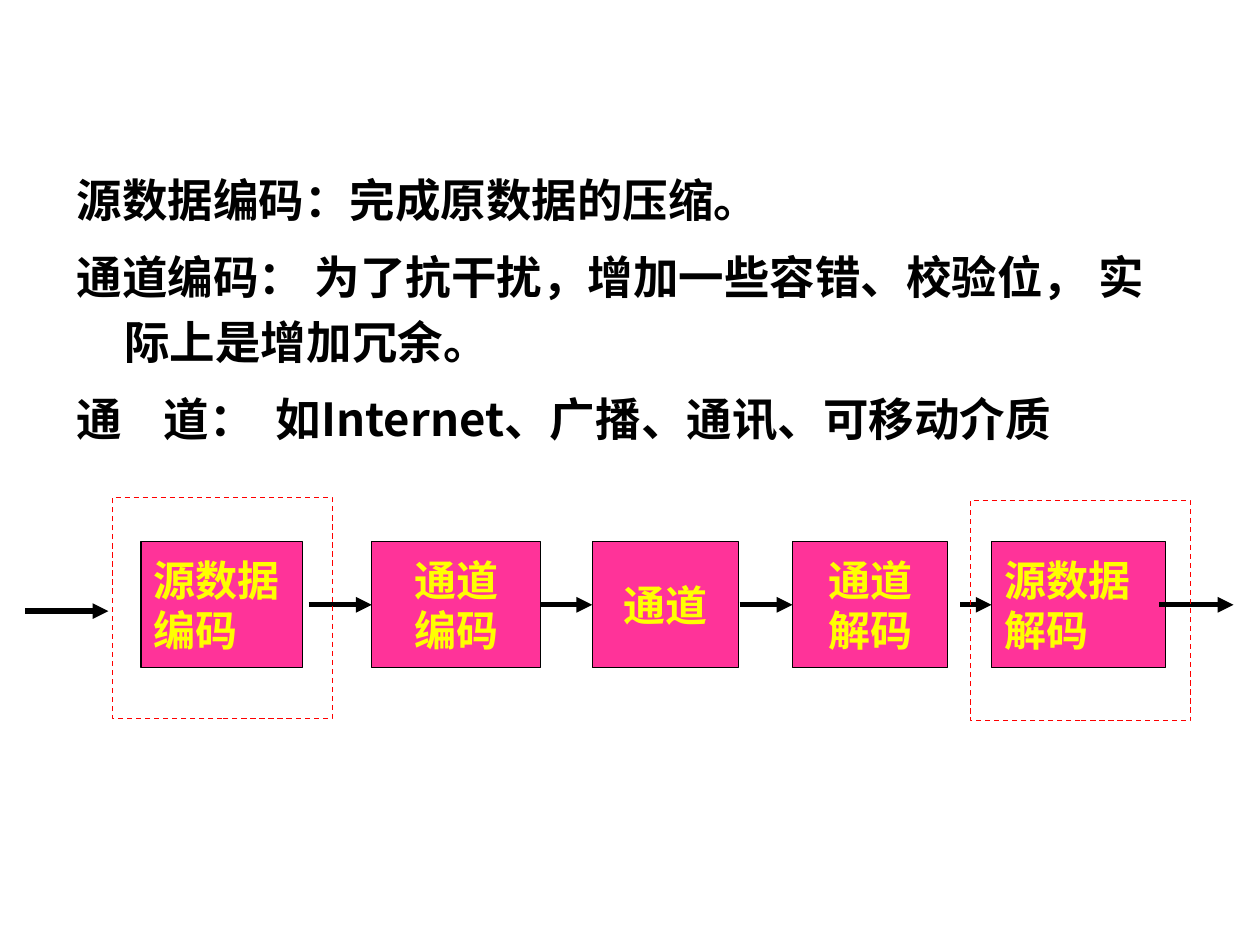
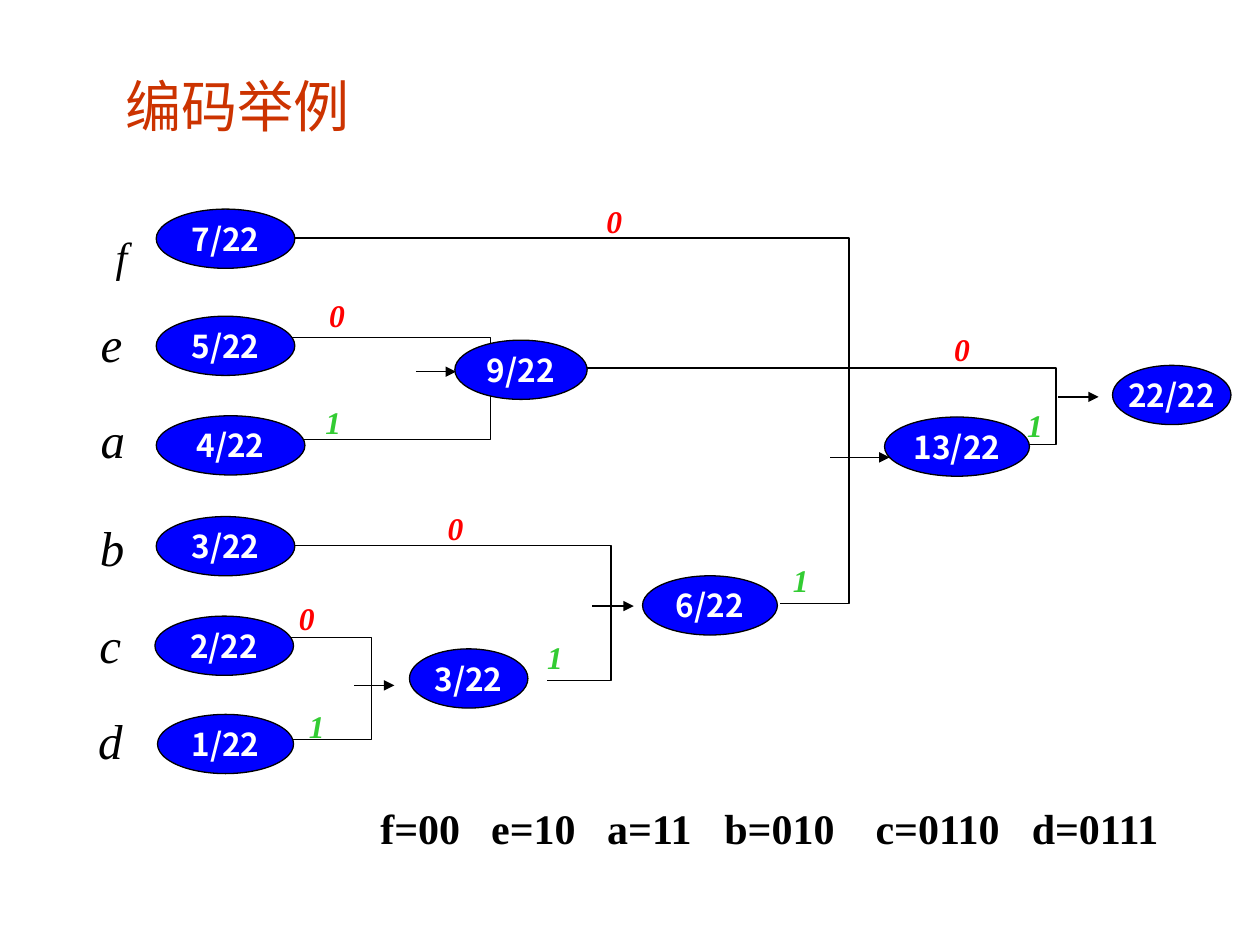
"""Build two slides on data coding: the coding chain and a coding tree."""
from dataclasses import dataclass
from typing import NamedTuple

from lxml import etree
from pptx import Presentation
from pptx.dml.color import RGBColor
from pptx.enum.dml import MSO_LINE
from pptx.enum.shapes import MSO_CONNECTOR, MSO_SHAPE
from pptx.enum.text import MSO_ANCHOR, MSO_AUTO_SIZE, PP_ALIGN
from pptx.oxml.ns import qn
from pptx.util import Inches, Pt

DASH = MSO_LINE.DASH
STRAIGHT, ELBOW = MSO_CONNECTOR.STRAIGHT, MSO_CONNECTOR.ELBOW
RECTANGLE, OVAL = MSO_SHAPE.RECTANGLE, MSO_SHAPE.OVAL
TOP, MIDDLE = MSO_ANCHOR.TOP, MSO_ANCHOR.MIDDLE
FIT_SHAPE = MSO_AUTO_SIZE.SHAPE_TO_FIT_TEXT
LEFT, CENTER = PP_ALIGN.LEFT, PP_ALIGN.CENTER


@dataclass(frozen=True)
class Theme:
    """Colours, fonts, type sizes and line widths of the deck."""
    black: str = "000000"
    white: str = "FFFFFF"
    title: str = "CC3300"
    stage: str = "FF3399"
    stage_text: str = "FFFF00"
    node: str = "0000FF"
    zero: str = "FF0000"
    one: str = "33CC33"
    sans: str = "Noto Sans CJK SC"
    serif: str = "Times New Roman"
    title_size: float = 32
    symbol_size: float = 28
    body_size: float = 26
    stage_size: float = 24
    node_size: float = 18
    thin: float = 0.75
    thick: float = 3


THEME = Theme()


class Frame(NamedTuple):
    """Left, top, width and height in inches."""
    left: float
    top: float
    width: float
    height: float

    def lengths(self) -> list:
        """Return the four values as lengths."""
        return [Inches(value) for value in self]


@dataclass(frozen=True)
class Style:
    """Type and paragraph settings of a text."""
    size: float
    color: str
    font: str = THEME.serif
    bold: bool = False
    italic: bool = False
    align: PP_ALIGN = CENTER
    anchor: MSO_ANCHOR = MIDDLE
    wrap: bool = False
    line_spacing: float = 1.0
    space_before: float = 0


class Line(NamedTuple):
    """One paragraph with its hanging indent and tab stops in inches."""
    text: str
    hanging: float = 0
    tabs: tuple = ()


class Stage(NamedTuple):
    """One box of the coding chain."""
    left: float
    width: float
    lines: tuple
    align: PP_ALIGN = CENTER


class Node(NamedTuple):
    """One oval of the coding tree."""
    left: float
    top: float
    width: float
    weight: str


class Symbol(NamedTuple):
    """One letter in front of a leaf of the tree."""
    text: str
    frame: Frame
    size: float = THEME.symbol_size


class Bracket(NamedTuple):
    """A line from a start point over a turning column to an end point."""
    left: float
    top: float
    right: float
    bottom: float
    turn: float


class Arrow(NamedTuple):
    """A level arrow."""
    start: float
    end: float
    height: float


class Bit(NamedTuple):
    """A branch label placed by its left and top."""
    left: float
    top: float
    value: str


BODY = Style(THEME.body_size, THEME.black, THEME.sans, bold=True, align=LEFT,
             anchor=TOP, wrap=True, line_spacing=1.2, space_before=6.5)
TITLE = Style(THEME.title_size, THEME.title, align=LEFT, anchor=TOP, wrap=True)
CODES = Style(THEME.stage_size, THEME.black, bold=True, align=LEFT, anchor=TOP, wrap=True)
NODE = Style(THEME.node_size, THEME.white, THEME.sans, bold=True)

DEFINITIONS = (
    Line("源数据编码：完成原数据的压缩。", 0.38),
    Line("通道编码： 为了抗干扰，增加一些容错、校验位， 实际上是增加冗余。", 0.38),
    Line("通\t道：\t如Internet、广播、通讯、可移动介质", tabs=(0.69, 1.58)),
)
STAGES = (
    Stage(1.12, 1.28, ("源数据", "编码"), LEFT),
    Stage(2.95, 1.34, ("通道", "编码")),
    Stage(4.7, 1.16, ("通道",)),
    Stage(6.29, 1.23, ("通道", "解码")),
    Stage(7.87, 1.38, ("源数据", "解码"), LEFT),
)
CHAIN_ARROWS = (
    Arrow(2.45, 2.95, 4.8), Arrow(4.29, 4.7, 4.8), Arrow(5.87, 6.29, 4.8),
    Arrow(7.62, 7.87, 4.8), Arrow(9.2, 9.79, 4.8), Arrow(0.2, 0.86, 4.85),
)
SOURCE_FRAMES = (Frame(0.89, 3.95, 1.75, 1.75), Frame(7.7, 3.97, 1.75, 1.75))

SYMBOLS = (
    Symbol("f", Frame(0.61, 1.85, 0.71, 0.36), THEME.stage_size),
    Symbol("e", Frame(0.49, 2.54, 0.79, 0.36)),
    Symbol("a", Frame(0.54, 3.3, 0.71, 0.36)),
    Symbol("b", Frame(0.43, 4.13, 0.92, 0.42)),
    Symbol("c", Frame(0.48, 4.93, 0.79, 0.36)),
    Symbol("d", Frame(0.48, 5.69, 0.79, 0.36)),
)
NODES = (
    Node(1.24, 1.66, 1.1, "7/22"), Node(1.24, 2.51, 1.1, "5/22"),
    Node(1.24, 3.3, 1.18, "4/22"), Node(1.24, 4.1, 1.1, "3/22"),
    Node(1.23, 4.89, 1.1, "2/22"), Node(1.25, 5.67, 1.08, "1/22"),
    Node(3.25, 5.15, 0.94, "3/22"), Node(5.1, 4.57, 1.07, "6/22"),
    Node(3.61, 2.7, 1.05, "9/22"), Node(7.02, 3.31, 1.15, "13/22"),
    Node(8.83, 2.9, 0.94, "22/22"),
)
BRACKETS = (
    Bracket(2.23, 5.06, 2.24, 5.87, 2.96), Bracket(2.33, 1.89, 6.19, 4.79, 6.74),
    Bracket(2.33, 4.33, 4.34, 5.4, 4.85), Bracket(2.26, 2.68, 2.27, 3.49, 3.92),
    Bracket(4.59, 2.92, 7.99, 3.53, 8.38),
)
TREE_ARROWS = (
    Arrow(2.81, 3.13, 5.44), Arrow(4.7, 5.03, 4.81), Arrow(3.3, 3.62, 2.95),
    Arrow(6.59, 7.06, 3.63), Arrow(8.4, 8.72, 3.15),
)
BITS = (
    Bit(4.62, 1.66, "0"), Bit(6.1, 4.51, "1"), Bit(2.42, 2.41, "0"),
    Bit(2.39, 3.26, "1"), Bit(3.36, 4.1, "0"), Bit(4.15, 5.12, "1"),
    Bit(2.18, 4.81, "0"), Bit(2.26, 5.67, "1"), Bit(7.38, 2.68, "0"),
    Bit(7.96, 3.28, "1"),
)
CODE_LINE = Line("f=00\te=10\ta=11\tb=010\tc=0110\td=0111",
                 tabs=(0.88, 1.8, 2.73, 3.93, 5.17))


def apply(target, values: dict) -> None:
    """Set each named attribute of the target."""
    for name, value in values.items():
        setattr(target, name, value)


def set_indents(para, line: Line) -> None:
    """Give a paragraph its hanging indent and tab stops."""
    properties = para._p.get_or_add_pPr()
    if line.hanging:
        properties.set("marL", str(Inches(line.hanging)))
        properties.set("indent", str(-Inches(line.hanging)))
    if line.tabs:
        stops = etree.SubElement(properties, qn("a:tabLst"))
        for position in line.tabs:
            etree.SubElement(stops, qn("a:tab"), pos=str(Inches(position)), algn="l")


def write(box, lines: tuple, style: Style) -> None:
    """Fill a shape with paragraphs in one style."""
    frame = box.text_frame
    apply(frame, {"word_wrap": style.wrap, "vertical_anchor": style.anchor})
    for index, line in enumerate(lines):
        para = frame.add_paragraph() if index else frame.paragraphs[0]
        apply(para, {"alignment": style.align, "line_spacing": style.line_spacing,
                     "space_before": Pt(style.space_before if index else 0)})
        set_indents(para, line)
        span = para.add_run()
        span.text = line.text
        apply(span.font, {"size": Pt(style.size), "name": style.font,
                          "bold": style.bold, "italic": style.italic})
        span.font.color.rgb = RGBColor.from_string(style.color)
        etree.SubElement(span._r.get_or_add_rPr(), qn("a:ea"), typeface=THEME.sans)


def add_text(page, frame: Frame, lines: tuple, style: Style, fit: bool = False) -> None:
    """Add a text box."""
    box = page.shapes.add_textbox(*frame.lengths())
    write(box, lines, style)
    if fit:
        box.text_frame.auto_size = FIT_SHAPE


def add_box(page, kind: MSO_SHAPE, frame: Frame, fill: str = "", outline: str = THEME.black):
    """Add an outlined shape, filled when a fill is given."""
    box = page.shapes.add_shape(kind, *frame.lengths())
    box.shadow.inherit = False
    if fill:
        box.fill.solid()
        box.fill.fore_color.rgb = RGBColor.from_string(fill)
    else:
        box.fill.background()
    box.line.color.rgb = RGBColor.from_string(outline)
    box.line.width = Pt(THEME.thin)
    return box


def add_line(page, kind: MSO_CONNECTOR, points: tuple, width: float):
    """Add a black connector without a shadow."""
    line = page.shapes.add_connector(kind, *[Inches(value) for value in points])
    line.line.color.rgb = RGBColor.from_string(THEME.black)
    line.line.width = Pt(width)
    etree.SubElement(line._element.spPr, qn("a:effectLst"))
    return line


def add_arrow(page, arrow: Arrow, width: float) -> None:
    """Add a level arrow with a triangle at its end."""
    points = (arrow.start, arrow.height, arrow.end, arrow.height)
    line = add_line(page, STRAIGHT, points, width)
    etree.SubElement(line.line._get_or_add_ln(), qn("a:tailEnd"), type="triangle")


def add_bracket(page, bracket: Bracket) -> None:
    """Add an elbow connector that turns at the given column."""
    line = add_line(page, ELBOW, bracket[:4], THEME.thin)
    share = (bracket.turn - bracket.left) / (bracket.right - bracket.left)
    guides = line._element.spPr.find(qn("a:prstGeom")).find(qn("a:avLst"))
    etree.SubElement(guides, qn("a:gd"), name="adj1", fmla=f"val {round(share * 100000)}")


def build_chain(page) -> None:
    """Draw the coding chain with its definitions."""
    add_text(page, Frame(0.51, 1.23, 8.83, 2.83), DEFINITIONS, BODY)
    for stage in STAGES:
        box = add_box(page, RECTANGLE, Frame(stage.left, 4.3, stage.width, 1), THEME.stage)
        style = Style(THEME.stage_size, THEME.stage_text, bold=True, align=stage.align)
        write(box, tuple(Line(text) for text in stage.lines), style)
    for arrow in CHAIN_ARROWS:
        add_arrow(page, arrow, THEME.thick)
    for frame in SOURCE_FRAMES:
        add_box(page, RECTANGLE, frame, outline=THEME.zero).line.dash_style = DASH


def build_tree(page) -> None:
    """Draw the coding tree with its title and resulting codes."""
    add_text(page, Frame(0.9, 0.52, 3.62, 0.64), (Line("编码举例"),), TITLE, fit=True)
    for symbol in SYMBOLS:
        style = Style(symbol.size, THEME.black, italic=True)
        add_text(page, symbol.frame, (Line(symbol.text),), style)
    for bracket in BRACKETS:
        add_bracket(page, bracket)
    for arrow in TREE_ARROWS:
        add_arrow(page, arrow, THEME.thin)
    for node in NODES:
        oval = add_box(page, OVAL, Frame(node.left, node.top, node.width, 0.47), THEME.node)
        write(oval, (Line(node.weight),), NODE)
    for bit in BITS:
        color = THEME.one if bit.value == "1" else THEME.zero
        style = Style(THEME.node_size, color, bold=True, italic=True)
        add_text(page, Frame(bit.left, bit.top, 0.51, 0.18), (Line(bit.value),), style)
    add_text(page, Frame(2.92, 6.32, 6.48, 0.5), (CODE_LINE,), CODES, fit=True)


def main() -> None:
    """Build and save the deck."""
    deck = Presentation()
    apply(deck, {"slide_width": Inches(10), "slide_height": Inches(7.5)})
    for build in (build_chain, build_tree):
        build(deck.slides.add_slide(deck.slide_layouts[6]))
    deck.save("out.pptx")


if __name__ == "__main__":
    main()
